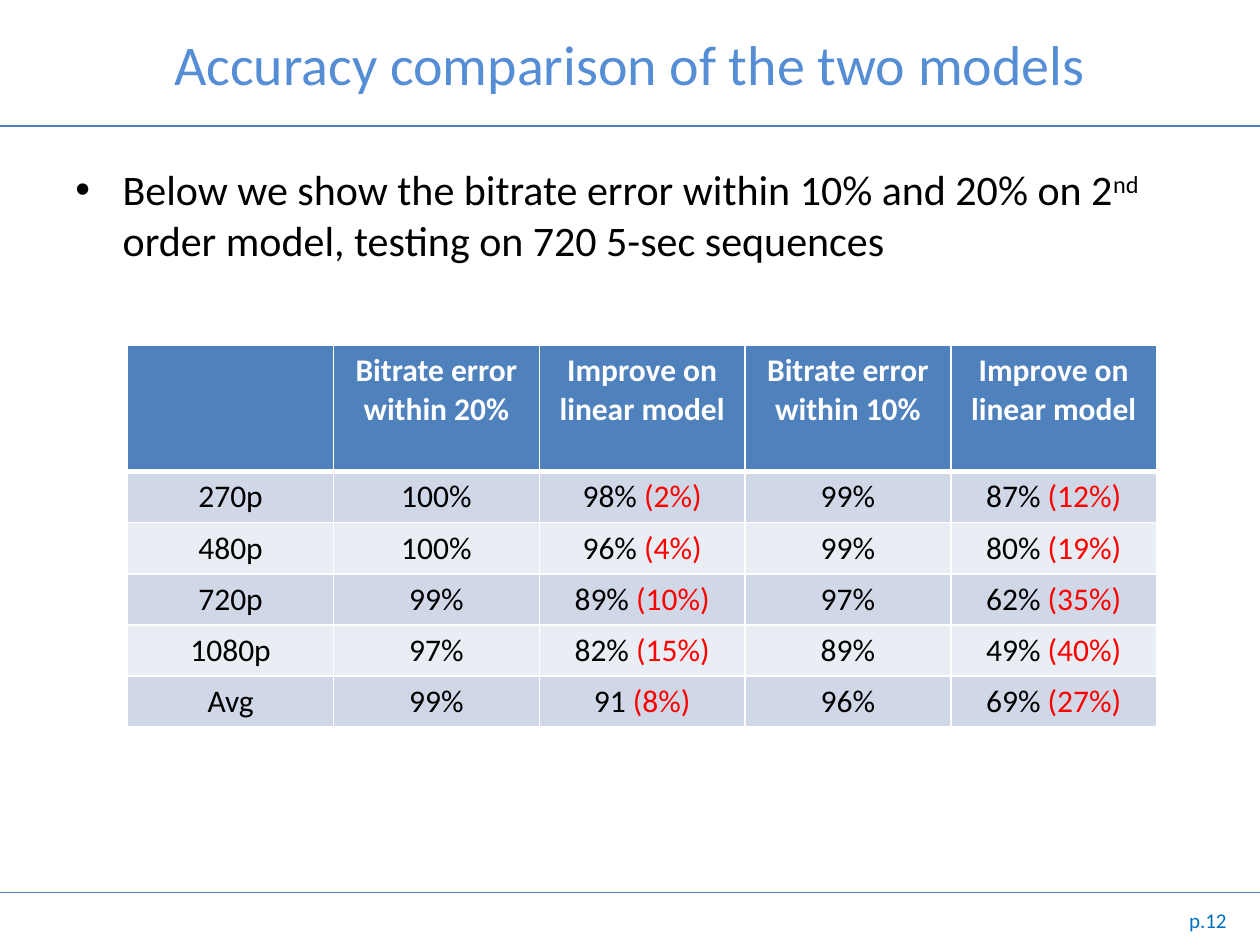
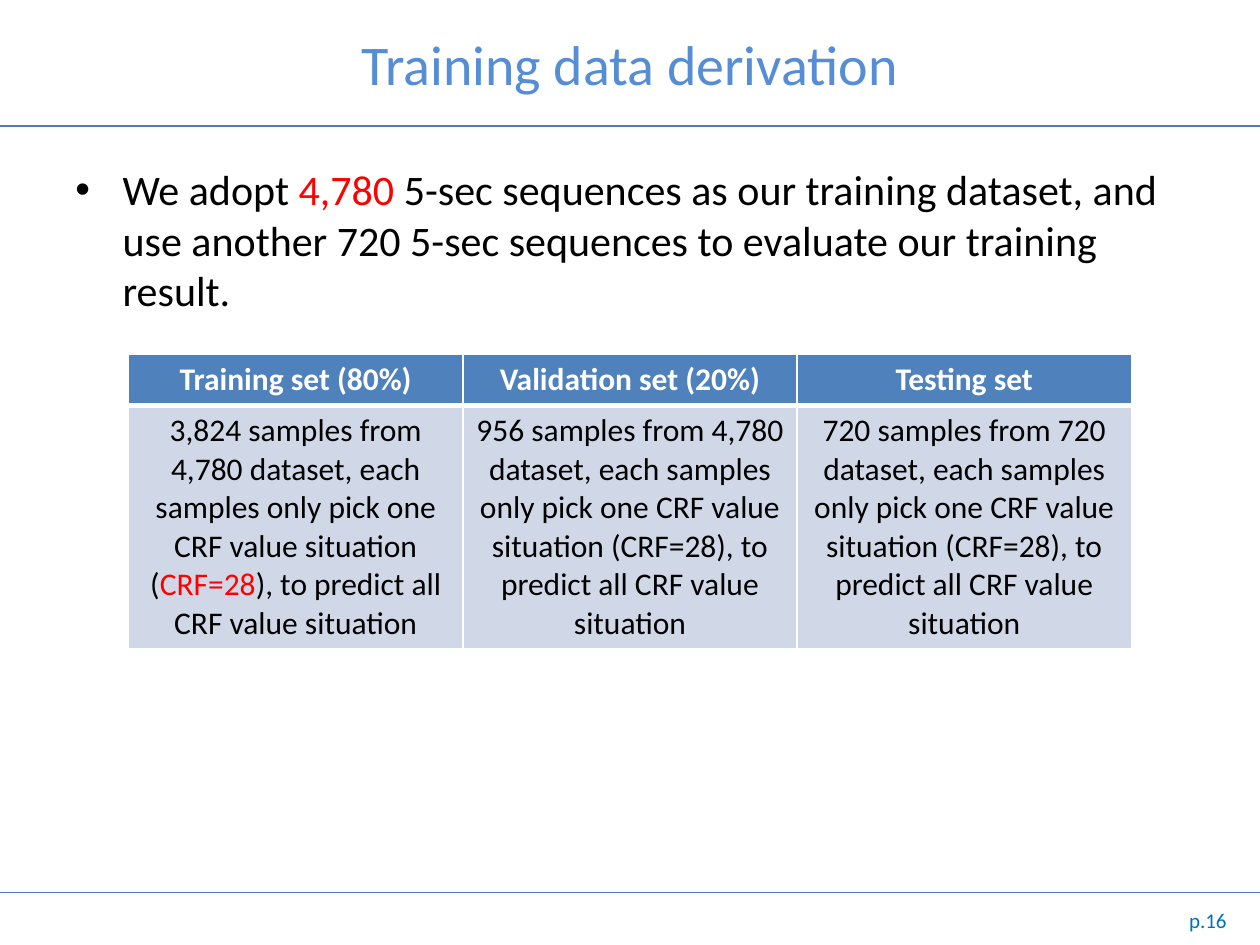
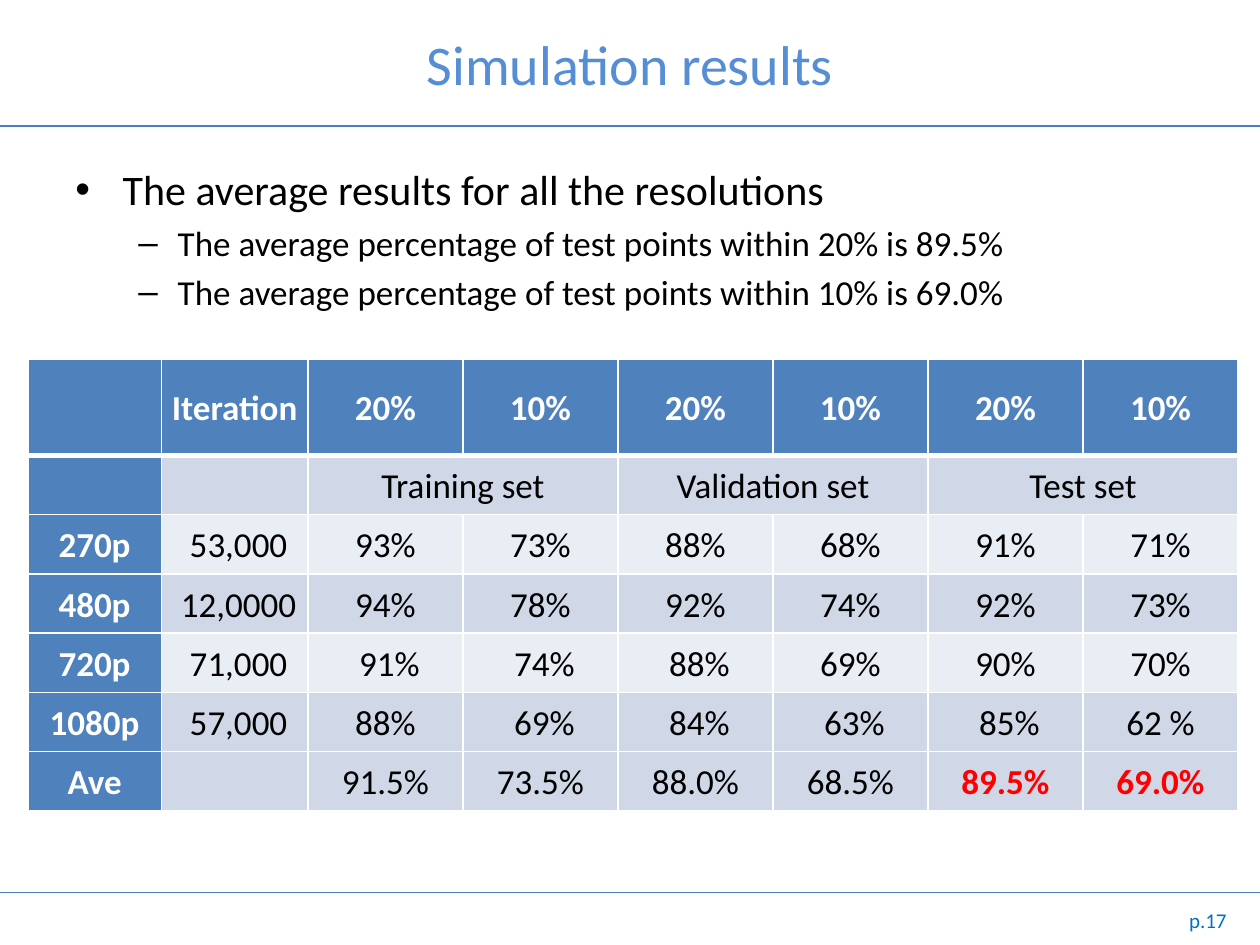
import dataclasses
import typing

import pptx
import pptx.dml.color
import pptx.enum.shapes
import pptx.enum.text
import pptx.oxml
import pptx.oxml.ns
import pptx.util

Pt = pptx.util.Pt
ALIGN = pptx.enum.text.PP_ALIGN
ANCHOR = pptx.enum.text.MSO_ANCHOR


def rgb(value):
    return pptx.dml.color.RGBColor.from_string(value)


@dataclasses.dataclass(frozen=True)
class Theme:
    font: str = "Calibri"
    title: str = "558ED5"
    rule: str = "4B7EBC"
    page: str = "0070C0"
    text: str = "000000"
    accent: str = "FF0000"
    white: str = "FFFFFF"
    header: str = "4F81BD"
    band_dark: str = "D0D8E8"
    band_light: str = "E9EDF4"
    title_size: int = 32
    page_size: int = 12
    body_sizes: tuple = (24, 20)
    table_size: int = 18
    large_table_size: int = 20


THEME = Theme()
WIDTH, HEIGHT = 720, 540
RULES = (72, 510)
# Bullet, left margin and hanging indent for each outline level
LEVELS = (("•", 27, 27), ("–", 58.5, 22.5))


class Span(typing.NamedTuple):
    text: str
    color: str | None = None
    bold: bool = False
    superscript: bool = False


def red(text, bold=False):
    return Span(text, THEME.accent, bold)


def write(para, content, size, color, bold=False):
    """Fill a paragraph from a string or from a list of strings and Spans."""
    for part in content if isinstance(content, list) else [content]:
        span = part if isinstance(part, Span) else Span(part)
        run = para.add_run()
        run.text = span.text
        run.font.name = THEME.font
        run.font.size = Pt(size)
        run.font.bold = bold or span.bold
        run.font.color.rgb = rgb(span.color or color)
        if span.superscript:
            run._r.get_or_add_rPr().set("baseline", "30000")


def add_rule(page, y):
    line = page.shapes.add_connector(
        pptx.enum.shapes.MSO_CONNECTOR.STRAIGHT, 0, Pt(y), Pt(WIDTH), Pt(y))
    line.line.color.rgb = rgb(THEME.rule)
    line.line.width = Pt(0.75)
    line._element.spPr.append(pptx.oxml.parse_xml(
        f"<a:effectLst {pptx.oxml.ns.nsdecls('a')}/>"))


def add_text_box(page, left, top, width, height):
    box = page.shapes.add_textbox(Pt(left), Pt(top), Pt(width), Pt(height))
    box.text_frame.word_wrap = True
    return box.text_frame


def add_page(deck, title, number):
    """Add a slide with its title, the two rules and the page number."""
    page = deck.slides.add_slide(deck.slide_layouts[5])
    for y in RULES:
        add_rule(page, y)
    box = page.shapes.title
    box.left, box.top, box.width, box.height = Pt(36), Pt(6), Pt(648), Pt(60)
    frame = box.text_frame
    frame.auto_size = pptx.enum.text.MSO_AUTO_SIZE.NONE
    frame.vertical_anchor = ANCHOR.MIDDLE
    frame.paragraphs[0].alignment = ALIGN.CENTER
    write(frame.paragraphs[0], title, THEME.title_size, THEME.title)

    frame = add_text_box(page, 666, 512, 42, 28)
    frame.vertical_anchor = ANCHOR.MIDDLE
    frame.paragraphs[0].alignment = ALIGN.RIGHT
    write(frame.paragraphs[0], f"p.{number}", THEME.page_size, THEME.page)
    return page


def add_bullets(page, items):
    """Add an outline from (level, content) pairs."""
    frame = add_text_box(page, 36, 90, 648, 408)
    for index, (level, content) in enumerate(items):
        para = frame.add_paragraph() if index else frame.paragraphs[0]
        bullet, margin, hanging = LEVELS[level]
        size = THEME.body_sizes[level]
        para.level = level
        if index:
            para.space_before = Pt(0.2 * size)
        properties = para._p.get_or_add_pPr()
        properties.set("marL", str(Pt(margin)))
        properties.set("indent", str(-Pt(hanging)))
        for child in ('<a:buFont {} typeface="Arial"/>',
                      f'<a:buChar {{}} char="{bullet}"/>'):
            properties.append(pptx.oxml.parse_xml(
                child.format(pptx.oxml.ns.nsdecls("a"))))
        write(para, content, size, THEME.text)


def set_borders(cell, row):
    """Draw white borders, thicker between the header and the first row."""
    top = 3 if row == 1 else 1
    bottom = 3 if row == 0 else 1
    for side, width in (("L", 1), ("R", 1), ("T", top), ("B", bottom)):
        cell._tc.get_or_add_tcPr().append(pptx.oxml.parse_xml(
            f'<a:ln{side} {pptx.oxml.ns.nsdecls("a")} w="{Pt(width)}">'
            f'<a:solidFill><a:srgbClr val="{THEME.white}"/></a:solidFill>'
            f"</a:ln{side}>"))


def add_grid(page, left, top, columns, heights, rows, size=THEME.table_size,
             header_column=False, compact=False, header_anchor=ANCHOR.MIDDLE):
    """Add a banded table; a None cell is merged into the one on its left."""
    grid = page.shapes.add_table(
        len(rows), len(columns), Pt(left), Pt(top),
        Pt(sum(columns)), Pt(sum(heights))).table
    for column, width in zip(grid.columns, columns):
        column.width = Pt(width)
    for r, (contents, height) in enumerate(zip(rows, heights)):
        grid.rows[r].height = Pt(height)
        dark = r % 2 or r == len(rows) - 1
        for c, content in enumerate(contents):
            cell = grid.cell(r, c)
            is_header = r == 0 or (header_column and c == 0)
            set_borders(cell, r)
            cell.fill.solid()
            cell.fill.fore_color.rgb = rgb(
                THEME.header if is_header
                else THEME.band_dark if dark else THEME.band_light)
            cell.vertical_anchor = ANCHOR.MIDDLE if r else header_anchor
            para = cell.text_frame.paragraphs[0]
            para.alignment = ALIGN.CENTER
            if compact:
                cell.margin_left = cell.margin_right = Pt(5)
                cell.margin_top = cell.margin_bottom = 0
                para.line_spacing = 1.07
            if content is None:
                grid.cell(r, c - 1).merge(cell)
            elif content:
                write(para, content, size,
                      THEME.white if is_header else THEME.text, is_header)


def add_accuracy_page(deck):
    page = add_page(deck, "Accuracy comparison of the two models", 12)
    add_bullets(page, [(0, [
        "Below we show the bitrate error within 10% and 20% on 2",
        Span("nd", superscript=True),
        " order model, testing on 720 5-sec sequences"])])
    rows = [
        ["", "Bitrate error within 20%", "Improve on linear model",
         "Bitrate error within 10%", "Improve on linear model"],
        ["270p", "100%", ["98% ", red("(2%)")], "99%", ["87% ", red("(12%)")]],
        ["480p", "100%", ["96% ", red("(4%)")], "99%", ["80% ", red("(19%)")]],
        ["720p", "99%", ["89% ", red("(10%)")], "97%", ["62% ", red("(35%)")]],
        ["1080p", "97%", ["82% ", red("(15%)")], "89%", ["49% ", red("(40%)")]],
        ["Avg", "99%", ["91 ", red("(8%)")], "96%", ["69% ", red("(27%)")]],
    ]
    add_grid(page, 73, 197.5, [117.6] * 5, [72] + [29.2] * 5, rows,
             header_anchor=ANCHOR.TOP)


def add_training_page(deck):
    page = add_page(deck, "Training data derivation", 16)
    add_bullets(page, [(0, [
        "We adopt ", red("4,780"),
        " 5-sec sequences as our training dataset, and use another 720 5-sec "
        "sequences to evaluate our training result."])])
    lead = "dataset, each samples only pick one CRF value situation ("
    tail = "), to predict all CRF value situation"
    rows = [
        ["Training set (80%)", "Validation set (20%)", "Testing set"],
        [[f"3,824 samples from 4,780 {lead}", red("CRF=28"), tail],
         f"956 samples from 4,780 {lead}CRF=28{tail}",
         f"720 samples from 720 {lead}CRF=28{tail}"],
    ]
    add_grid(page, 73.5, 202.5, [191] * 3, [29.2, 139], rows)


def add_results_page(deck):
    page = add_page(deck, "Simulation results", 17)
    add_bullets(page, [
        (0, "The average results for all the resolutions"),
        (1, "The average percentage of test points within 20% is 89.5%"),
        (1, "The average percentage of test points within 10% is 69.0%")])
    rows = [
        ["", "Iteration"] + ["20%", "10%"] * 3,
        ["", "", "Training set", None, "Validation set", None, "Test set", None],
        ["270p", " 53,000", "93%", "73%", "88%", "68%", "91%", "71%"],
        ["480p", " 12,0000", "94%", "78%", "92%", "74%", "92%", "73%"],
        ["720p", " 71,000", " 91%", " 74%", " 88%", "69%", "90%", "70%"],
        ["1080p", " 57,000", "88%", " 69%", " 84%", " 63%", " 85%", "62 %"],
        ["Ave", "", "91.5%", "73.5%", "88.0%", "68.5%",
         [red("89.5%", bold=True)], [red("69.0%", bold=True)]],
    ]
    add_grid(page, 16, 205.2, [76.2, 83.8] + [88.6] * 6, [55] + [33.9] * 6,
             rows, THEME.large_table_size, header_column=True, compact=True)


def main():
    deck = pptx.Presentation()
    deck.slide_width, deck.slide_height = Pt(WIDTH), Pt(HEIGHT)
    add_accuracy_page(deck)
    add_training_page(deck)
    add_results_page(deck)
    deck.save("out.pptx")


if __name__ == "__main__":
    main()
